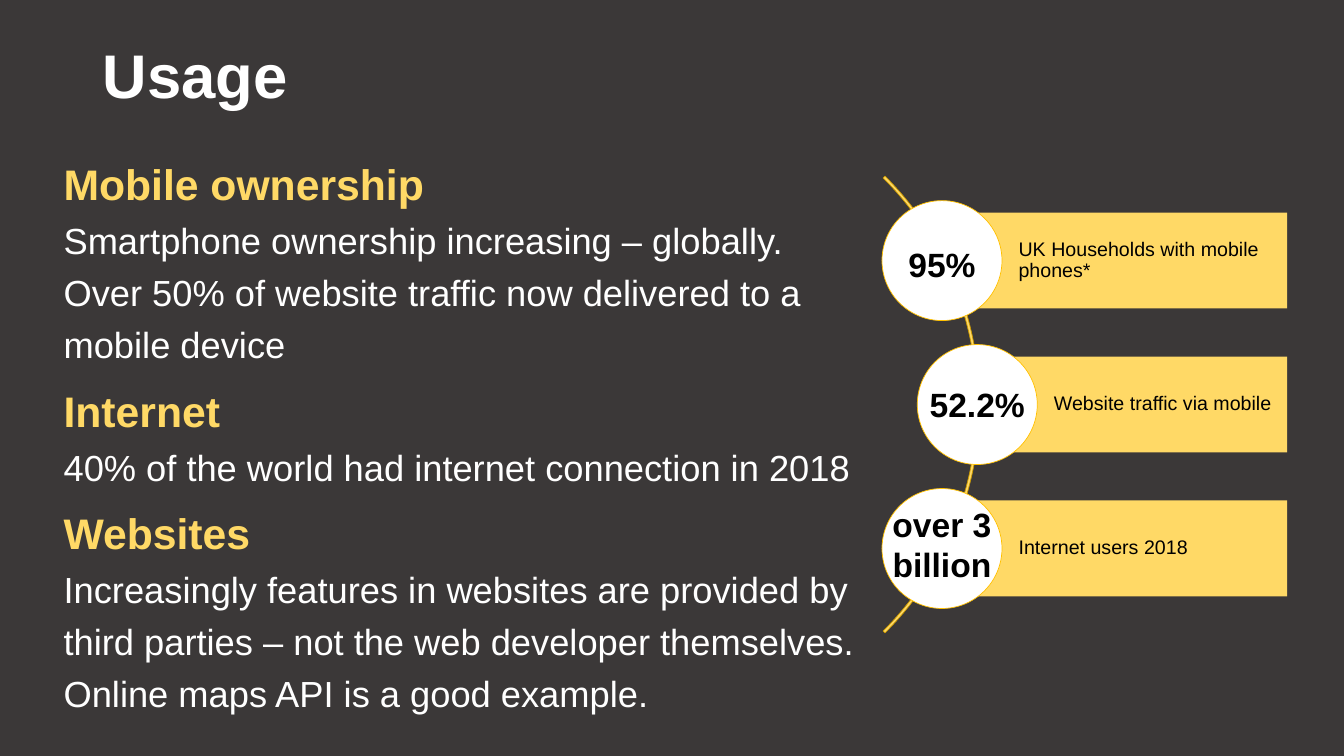
"""Builds the Usage slide: a list of facts beside three statistics on an arc."""
from lxml.etree import SubElement
from pptx import Presentation
from pptx.dml.color import RGBColor
from pptx.enum.shapes import MSO_SHAPE
from pptx.enum.text import MSO_ANCHOR, MSO_AUTO_SIZE, PP_ALIGN
from pptx.oxml.ns import qn
from pptx.util import Emu, Inches, Pt

COLORS = {"dark": "3B3838", "yellow": "FFD966", "gold": "FFC000",
          "ochre": "CC9A00", "white": "FFFFFF", "black": "000000"}
WIDTH, HEIGHT = Inches(13.33), Inches(7.5)
COLUMNS = 56
BAR, CIRCLE, PITCH = 4, 5, 6
BAR_RIGHT = 53.63
ARC_X, ARC_Y, ARC_SIZE = 27.36, 16.86, 26.92

FACTS = [
    ("Mobile ownership", "Smartphone ownership increasing – globally. Over 50% of "
     "website traffic now delivered to a mobile device"),
    ("Internet", "40% of the world had internet connection in 2018"),
    ("Websites", "Increasingly features in websites are provided by third parties – "
     "not the web developer themselves. Online maps API is a good example."),
]
STATS = [
    ("95%", "UK Households with mobile phones*", 39.25, 0.15),
    ("52.2%", "Website traffic via mobile", 40.72, 0),
    ("over 3 billion", "Internet users 2018", 39.25, -0.17),
]


def rgb(name):
    return RGBColor.from_string(COLORS[name])


def apply(target, values):
    for name, value in values.items():
        setattr(target, name, value)


class SlideBuilder:
    """Holds the style and current slide, with lengths in grid columns."""

    styles = {
        "title": {"size": Pt(44), "bold": True, "color": "white"},
        "heading": {"size": Pt(30.5), "bold": True, "color": "yellow"},
        "body": {"size": Pt(25.9), "bold": False, "color": "white"},
        "label": {"size": Pt(14), "bold": False, "color": "black"},
        "value": {"size": Pt(24), "bold": True, "color": "black"},
    }

    def __init__(self, prs):
        self.s = prs.slides.add_slide(prs.slide_layouts[1])
        self.unit = prs.slide_width / COLUMNS
        self.s.background.fill.solid()
        self.s.background.fill.fore_color.rgb = rgb("dark")

    def box(self, *cells):
        return [Emu(round(c * self.unit)) for c in cells]

    def run(self, p, text, style):
        r = p.add_run()
        r.text = text
        values = dict(self.styles[style], name="Arial")
        r.font.color.rgb = rgb(values.pop("color"))
        apply(r.font, values)

    def frame(self, sp, anchor, **insets):
        tf = sp.text_frame
        apply(tf, {"word_wrap": True, "auto_size": MSO_AUTO_SIZE.NONE,
                   "vertical_anchor": anchor, **insets})
        return tf

    def place(self, sp, *cells):
        apply(sp, dict(zip(("left", "top", "width", "height"), self.box(*cells))))

    def title(self, text, *cells):
        sp = self.s.shapes.title
        self.place(sp, *cells)
        p = self.frame(sp, MSO_ANCHOR.MIDDLE).paragraphs[0]
        apply(p, {"alignment": PP_ALIGN.LEFT, "line_spacing": 0.9})
        self.run(p, text, "title")

    def body(self, facts, *cells):
        sp = self.s.placeholders[1]
        self.place(sp, *cells)
        sp.fill.solid()
        sp.fill.fore_color.rgb = rgb("dark")
        tf = self.frame(sp, MSO_ANCHOR.TOP)
        for i, (heading, text) in enumerate(facts):
            p = tf.add_paragraph() if i else tf.paragraphs[0]
            pPr = p._p.get_or_add_pPr()
            pPr.set("marL", "0")
            pPr.set("indent", "0")
            SubElement(pPr, qn("a:buNone"))
            apply(p, {"line_spacing": 1.2, "space_before": Pt(6 if i else 0)})
            self.run(p, heading, "heading")
            p.add_line_break()
            self.run(p, text, "body")

    def shape(self, kind, fill, line, *cells):
        sp = self.s.shapes.add_shape(kind, *self.box(*cells))
        sp.shadow.inherit = False
        sp.fill.solid()
        sp.fill.fore_color.rgb = rgb(fill)
        if line:
            sp.line.color.rgb = rgb(line)
            sp.line.width = Pt(0.5)
        else:
            sp.line.fill.background()
        return sp

    def arc(self, x, y, size):
        sp = self.shape(MSO_SHAPE.BLOCK_ARC, "yellow", "ochre",
                        x - size / 2, y - size / 2, size, size)
        for i, value in enumerate((189, 27, 0.004)):
            sp.adjustments[i] = value

    def stat(self, value, label, x, y, shift):
        bar = self.shape(MSO_SHAPE.RECTANGLE, "yellow", None,
                         x, y - BAR / 2, BAR_RIGHT - x, BAR)
        tf = self.frame(bar, MSO_ANCHOR.MIDDLE, margin_left=Inches(0.76),
                        **dict.fromkeys(("margin_right", "margin_top", "margin_bottom"),
                                        Inches(0.04)))
        p = tf.paragraphs[0]
        apply(p, {"alignment": PP_ALIGN.LEFT, "line_spacing": 0.9})
        self.run(p, label, "label")
        self.shape(MSO_SHAPE.OVAL, "white", "gold",
                   x - CIRCLE / 2, y - CIRCLE / 2, CIRCLE, CIRCLE)
        width, height = 5.3, BAR
        sp = self.s.shapes.add_textbox(
            *self.box(x - width / 2, y + shift - height / 2, width, height))
        p = self.frame(sp, MSO_ANCHOR.MIDDLE).paragraphs[0]
        p.alignment = PP_ALIGN.CENTER
        self.run(p, value, "value")


def main():
    prs = Presentation()
    apply(prs, {"slide_width": WIDTH, "slide_height": HEIGHT})
    slide = SlideBuilder(prs)
    slide.title("Usage", 3.86, 0.55, 48.3, 5.42)
    slide.body(FACTS, 2.23, 5.96, 34.27, 25.54)
    slide.arc(ARC_X, ARC_Y, ARC_SIZE)
    for i, (value, label, x, shift) in enumerate(STATS):
        slide.stat(value, label, x, ARC_Y + (i - 1) * PITCH, shift)
    prs.save("out.pptx")


if __name__ == "__main__":
    main()
